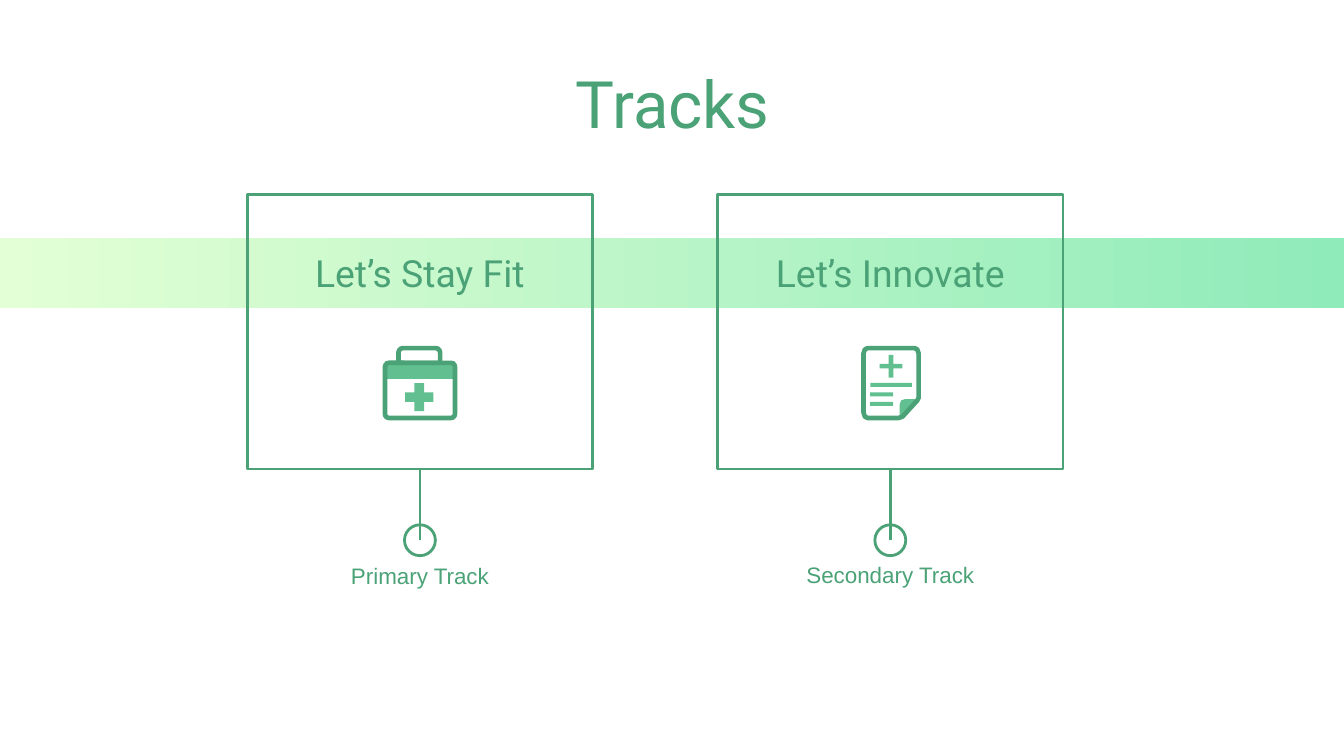
from lxml import etree
from pptx import Presentation
from pptx.dml.color import RGBColor
from pptx.enum import shapes as kinds, text as modes
from pptx.oxml.ns import qn
from pptx.util import Inches, Pt

DARK = RGBColor(0x4A, 0xA2, 0x76)
MID = RGBColor(0x62, 0xC0, 0x90)
PALE = RGBColor(0xE3, 0xFF, 0xD5)
MINT = RGBColor(0x90, 0xEB, 0xBA)
SHAPE = kinds.MSO_SHAPE

TITLE = "Tracks"
TRACKS = [  # heading, label, top of label, icon
    ("Let’s Stay Fit", "Primary Track", 3.85, "kit"),
    ("Let’s Innovate", "Secondary Track", 3.84, "note"),
]
LEFT, STEP, TOP = 1.84, 3.5, 1.45
WIDE, HIGH = 2.57, 2.04
BAND_TOP, BAND_HIGH = 1.77, 0.52
RING, RING_MID = 0.23, 4.02
STROKE = 2.5
# Icon parts are placed from the centre line of their column.
BARS = [(2.85, 0.31), (2.92, 0.17), (2.99, 0.17)]
PAGE = [(-0.17, 2.59), (0.18, 2.59), (0.2, 2.6), (0.21, 2.63),
        (0.21, 2.96), (0.2, 2.98), (0.09, 3.1), (0.06, 3.11),
        (-0.17, 3.11), (-0.19, 3.1), (-0.2, 3.07), (-0.2, 2.63),
        (-0.19, 2.6)]
FOLD = [(0.07, 3.11), (0.07, 3.01), (0.08, 2.98), (0.11, 2.97),
        (0.2, 2.97), (0.2, 2.98)]


def paint(shape, fill=None, line=None, width=1.5):
    shape.shadow.inherit = False
    if fill is None:
        shape.fill.background()
    else:
        shape.fill.solid()
        shape.fill.fore_color.rgb = fill
    if line is None:
        shape.line.fill.background()
    else:
        shape.line.color.rgb = line
        shape.line.width = Pt(width)


def draw(kind, box, adj=None, **look):
    shape = slide.shapes.add_shape(kind, *map(Inches, box))
    if adj is not None:
        shape.adjustments[0] = adj
    paint(shape, **look)
    return shape


def trace(mid, points, **look):
    spots = [(Inches(mid + x), Inches(y)) for x, y in points]
    pen = slide.shapes.build_freeform(*spots[0])
    pen.add_line_segments(spots[1:], close=True)
    paint(pen.convert_to_shape(), **look)


def write(shape, words, size, font, box):
    shape.left, shape.top, shape.width, shape.height = map(Inches, box)
    frame = shape.text_frame
    frame.text = words
    frame.word_wrap = True
    frame.auto_size = modes.MSO_AUTO_SIZE.NONE
    frame.vertical_anchor = modes.MSO_ANCHOR.MIDDLE
    frame.margin_left = frame.margin_right = Inches(0.1)
    frame.margin_top = frame.margin_bottom = Inches(0.1)
    line = frame.paragraphs[0]
    line.alignment = modes.PP_ALIGN.CENTER
    style = line.runs[0].font
    style.size, style.name = Pt(size), font
    style.color.rgb = DARK


def label(words, size, font, box):
    write(slide.shapes.add_textbox(0, 0, 0, 0), words, size, font, box)


def kit(mid):
    draw(SHAPE.RECTANGLE, (mid - 0.26, 2.69, 0.52, 0.13), fill=MID)
    draw(SHAPE.ROUND_2_SAME_RECTANGLE, (mid - 0.16, 2.59, 0.31, 0.11), 0.3,
         line=DARK, width=STROKE)
    draw(SHAPE.ROUNDED_RECTANGLE, (mid - 0.26, 2.7, 0.52, 0.41), 0.07,
         line=DARK, width=STROKE)
    draw(SHAPE.CROSS, (mid - 0.11, 2.85, 0.21, 0.21), 0.33, fill=MID)


def note(mid):
    trace(mid, FOLD, fill=MID)
    trace(mid, PAGE, line=DARK, width=STROKE)
    for top, wide in BARS:
        draw(SHAPE.RECTANGLE, (mid - 0.15, top, wide, 0.03), fill=MID)
    draw(SHAPE.CROSS, (mid - 0.08, 2.64, 0.17, 0.17), 0.4, fill=MID)


ICONS = {"kit": kit, "note": note}

deck = Presentation()
deck.slide_width = Inches(10)
deck.slide_height = deck.slide_width * 9 // 16
slide = deck.slides.add_slide(deck.slide_layouts[5])
write(slide.shapes.title, TITLE, 35, "Roboto", (0.79, 0.59, 8.43, 0.35))

band = draw(SHAPE.RECTANGLE, (0, BAND_TOP, 10, BAND_HIGH))
band.fill.gradient()
band.fill.gradient_angle = 0
for stop, tone in zip(band.fill.gradient_stops, (PALE, MINT)):
    stop.color.rgb = tone

for i, (head, name, low, icon) in enumerate(TRACKS):
    x = LEFT + i * STEP
    mid = x + WIDE / 2
    draw(SHAPE.RECTANGLE, (x, TOP, WIDE, HIGH), line=DARK)
    draw(SHAPE.OVAL, (mid - RING / 2, RING_MID - RING / 2, RING, RING),
         line=DARK)
    stem = slide.shapes.add_connector(
        kinds.MSO_CONNECTOR.STRAIGHT, Inches(mid), Inches(TOP + HIGH),
        Inches(mid), Inches(RING_MID))
    stem.line.color.rgb = DARK
    stem.line.width = Pt(1.5)
    etree.SubElement(stem._element.spPr, qn("a:effectLst"))
    label(head, 20, "Roboto", (x, BAND_TOP, WIDE, BAND_HIGH))
    label(name, 12, "Arial", (x, low, WIDE, 0.87))
    ICONS[icon](mid)

deck.save("out.pptx")
